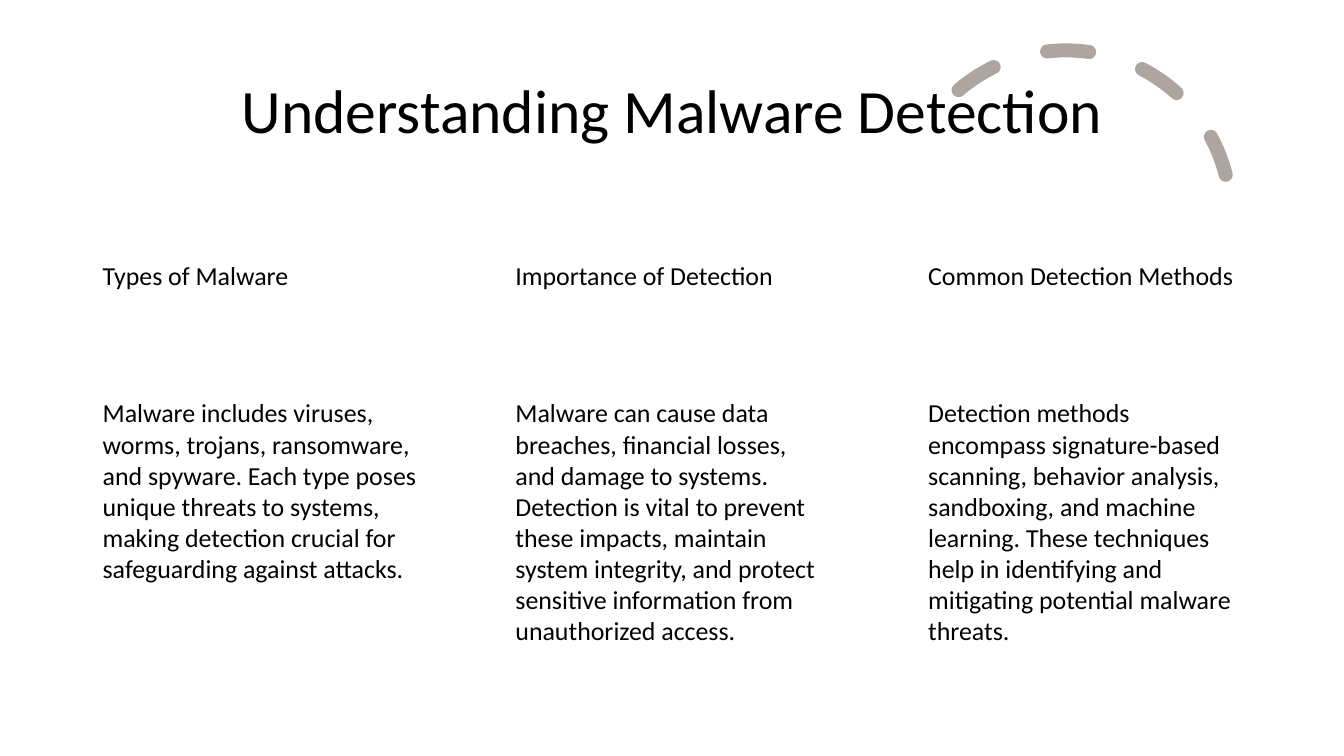
"""Build the slide on understanding malware detection."""
from dataclasses import dataclass

from lxml import etree
from pptx import Presentation, util as u
from pptx.dml.color import RGBColor
from pptx.enum import dml, shapes, text
from pptx.oxml.ns import qn


@dataclass(frozen=True)
class Theme:
    """Colours, type sizes and font of the slide."""
    paper: str = "FFFFFF"
    ink: str = "000000"
    accent: str = "AFA5A0"
    font: str = "Calibri"
    title_size: float = 44
    body_size: float = 18.5
    dash_width: float = 10


@dataclass(frozen=True)
class Grid:
    """Columns and rows of the slide, in inches."""
    width: float = 40 / 3
    height: float = 7.5
    left: float = 0.92
    content: float = 11.5
    column: float = 3.31
    count: int = 3

    def column_left(self, index):
        """Return the left edge of an evenly spaced column."""
        pitch = (self.content - self.column) / (self.count - 1)
        return self.left + index * pitch


THEME = Theme()
GRID = Grid()
HEADING_ROW = (2.53, 0.84)
BODY_ROW = (3.89, 2.33)
TOPICS = [
    ("Types of Malware",
     "Malware includes viruses, worms, trojans, ransomware, and spyware. "
     "Each type poses unique threats to systems, making detection crucial "
     "for safeguarding against attacks."),
    ("Importance of Detection",
     "Malware can cause data breaches, financial losses, and damage to "
     "systems. Detection is vital to prevent these impacts, maintain system "
     "integrity, and protect sensitive information from unauthorized access."),
    ("Common Detection Methods",
     "Detection methods encompass signature-based scanning, behavior "
     "analysis, sandboxing, and machine learning. These techniques help in "
     "identifying and mitigating potential malware threats."),
]


def write(box, words, size=THEME.body_size, align=text.PP_ALIGN.LEFT,
          anchor=text.MSO_ANCHOR.TOP, line_spacing=None, space_after=6):
    """Fill a box with one formatted paragraph."""
    frame = box.text_frame
    frame.word_wrap = True
    frame.auto_size = text.MSO_AUTO_SIZE.NONE
    frame.vertical_anchor = anchor
    para = frame.paragraphs[0]
    para.alignment = align
    para.line_spacing = line_spacing
    para.space_after = u.Pt(space_after)
    span = para.add_run()
    span.text = words
    span.font.name = THEME.font
    span.font.size = u.Pt(size)
    span.font.color.rgb = RGBColor.from_string(THEME.ink)


def add_title(page, words):
    """Place and format the title placeholder."""
    title = page.shapes.title
    title.left, title.top = u.Inches(GRID.left), u.Inches(0.4)
    title.width, title.height = u.Inches(GRID.content), u.Inches(1.45)
    write(title, words, size=THEME.title_size, align=text.PP_ALIGN.CENTER,
          anchor=text.MSO_ANCHOR.MIDDLE, line_spacing=0.9, space_after=0)


def add_text(page, column, row, words):
    """Add a text box at a grid column and row."""
    top, height = row
    box = page.shapes.add_textbox(u.Inches(GRID.column_left(column)), u.Inches(top),
                                  u.Inches(GRID.column), u.Inches(height))
    write(box, words)


def add_back_shape(page, kind, left, top, width, height):
    """Add a shadowless preset shape behind the title."""
    shape = page.shapes.add_shape(kind, u.Inches(left), u.Inches(top),
                                  u.Inches(width), u.Inches(height))
    shape.shadow.inherit = False
    page.shapes.title.element.addprevious(shape.element)
    return shape


def add_paper(page):
    """Cover the slide with a plain sheet."""
    sheet = add_back_shape(page, shapes.MSO_SHAPE.RECTANGLE,
                           0, 0, GRID.width, GRID.height)
    sheet.fill.solid()
    sheet.fill.fore_color.rgb = RGBColor.from_string(THEME.paper)
    sheet.line.fill.background()


def add_dashed_arc(page):
    """Add the round-capped dashed arc."""
    arc = add_back_shape(page, shapes.MSO_SHAPE.ARC, 8.94, 0.5, 3.27, 3.27)
    arc.adjustments[0] = 146.13
    arc.adjustments[1] = 0
    arc.rotation = 345.8
    arc.fill.background()
    arc.line.color.rgb = RGBColor.from_string(THEME.accent)
    arc.line.width = u.Pt(THEME.dash_width)
    arc.line.dash_style = dml.MSO_LINE.DASH
    outline = arc.element.find(".//" + qn("a:ln"))
    outline.set("cap", "rnd")
    etree.SubElement(outline, qn("a:round"))


def main():
    """Build and save the deck."""
    deck = Presentation()
    deck.slide_width, deck.slide_height = u.Inches(GRID.width), u.Inches(GRID.height)
    page = deck.slides.add_slide(deck.slide_layouts.get_by_name("Title Only"))
    add_paper(page)
    add_dashed_arc(page)
    add_title(page, "Understanding Malware Detection")
    for column, (heading, body) in enumerate(TOPICS):
        add_text(page, column, HEADING_ROW, heading)
        add_text(page, column, BODY_ROW, body)
    deck.save("out.pptx")


if __name__ == "__main__":
    main()
